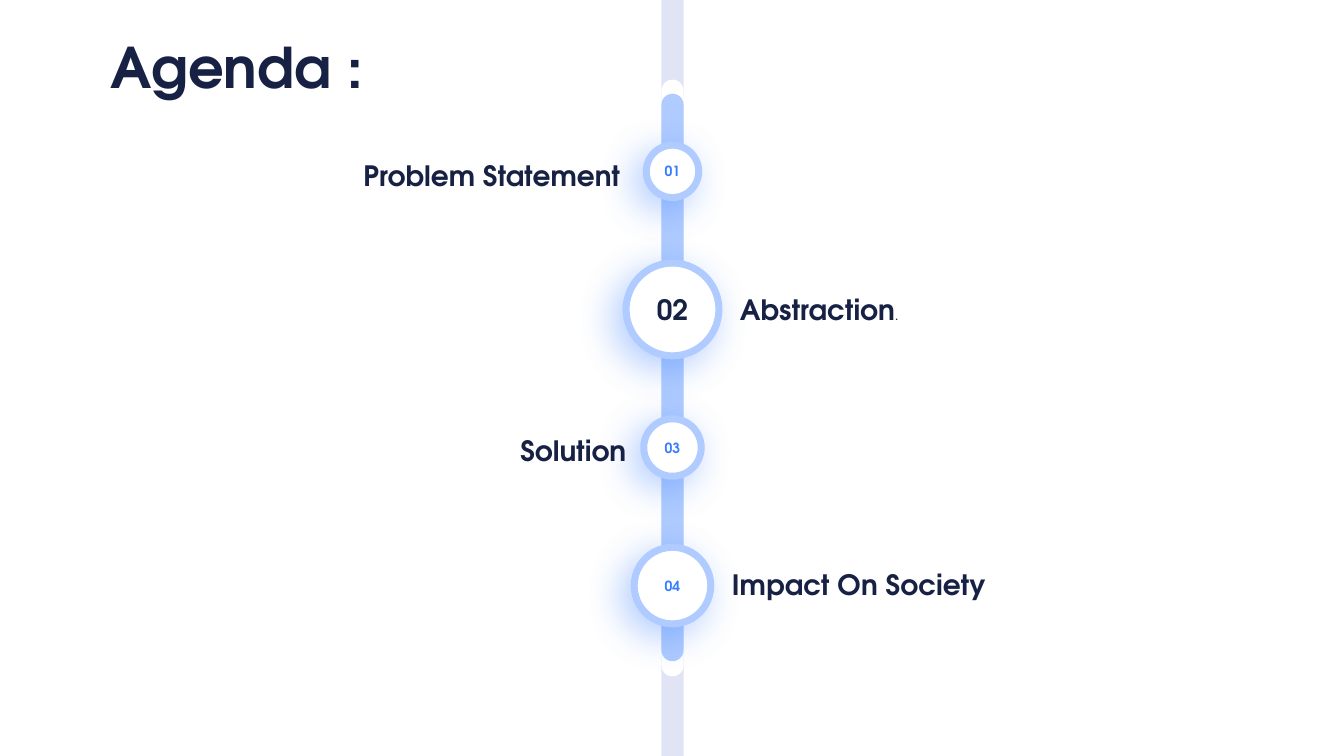
from lxml import etree
from pptx import Presentation
from pptx.dml.color import RGBColor
from pptx.enum.shapes import MSO_SHAPE
from pptx.enum.text import MSO_ANCHOR, MSO_AUTO_SIZE, PP_ALIGN
from pptx.oxml.ns import qn
from pptx.util import Inches, Pt

FONT = "TeX Gyre Adventor"
NAVY, BLUE, PALE_BLUE, GREY, WHITE = "172144", "377DFF", "AFCBFF", "E0E4F4", "FFFFFF"
CENTER_X, FIRST_Y, STEP_Y = 6.67, 1.7, 1.37
BAR_WIDTH, LABEL_HEIGHT = 0.22, 0.44

TITLE = "Agenda :"
BARS = [(-0.37, 8.25, GREY), (0.79, 5.92, WHITE), (0.93, 5.63, PALE_BLUE)]
STOPS = [
    {"number": "01", "diameter": 0.52, "size": 10, "color": BLUE,
     "label": "Problem Statement", "left": 3.16, "top": 1.52, "width": 3.09, "align": PP_ALIGN.RIGHT},
    {"number": "02", "diameter": 0.92, "size": 20, "color": NAVY,
     "label": "Abstraction", "left": 7.24, "top": 2.85, "width": 2.29, "align": PP_ALIGN.LEFT,
     "ending": "."},
    {"number": "03", "diameter": 0.57, "size": 10, "color": BLUE,
     "label": "Solution", "left": 4.02, "top": 4.25, "width": 2.29, "align": PP_ALIGN.RIGHT},
    {"number": "04", "diameter": 0.76, "size": 10, "color": BLUE,
     "label": "Impact On Society", "left": 7.16, "top": 5.58, "width": 2.73, "align": PP_ALIGN.LEFT},
]


def rgb(color):
    return RGBColor.from_string(color)


def style_font(font, size, color, name=FONT, bold=True):
    font.name, font.size, font.bold = name, Pt(size), bold
    font.color.rgb = rgb(color)


def write(text_frame, text, size, color, align):
    text_frame.word_wrap = True
    paragraph = text_frame.paragraphs[0]
    paragraph.text = text
    paragraph.alignment = align
    style_font(paragraph.font, size, color)
    return paragraph


def add_filled(preset, left, top, width, height, color):
    shape = slide.shapes.add_shape(preset, Inches(left), Inches(top), Inches(width), Inches(height))
    shape.shadow.inherit = False
    shape.fill.solid()
    shape.fill.fore_color.rgb = rgb(color)
    shape.line.fill.background()
    return shape


def add_glow_shadow(shape):
    effects = shape.element.spPr.find(qn("a:effectLst"))
    shadow = etree.SubElement(effects, qn("a:outerShdw"), blurRad=str(Pt(28)), dist=str(Pt(9)),
                              dir=str(135 * 60000), algn="tr", rotWithShape="0")
    color = etree.SubElement(shadow, qn("a:srgbClr"), val=BLUE)
    etree.SubElement(color, qn("a:alpha"), val="39000")


def add_circle(stop, center_y):
    diameter = stop["diameter"]
    circle = add_filled(MSO_SHAPE.OVAL, CENTER_X - diameter / 2, center_y - diameter / 2,
                        diameter, diameter, WHITE)
    circle.line.color.rgb = rgb(PALE_BLUE)
    circle.line.width = Pt(5)
    add_glow_shadow(circle)
    frame = circle.text_frame
    frame.margin_left = frame.margin_right = frame.margin_top = frame.margin_bottom = 0
    frame.vertical_anchor = MSO_ANCHOR.MIDDLE
    write(frame, stop["number"], stop["size"], stop["color"], PP_ALIGN.CENTER)


def add_label(stop):
    label = slide.shapes.add_textbox(Inches(stop["left"]), Inches(stop["top"]),
                                     Inches(stop["width"]), Inches(LABEL_HEIGHT))
    paragraph = write(label.text_frame, stop["label"], 20, NAVY, stop["align"])
    label.text_frame.auto_size = MSO_AUTO_SIZE.SHAPE_TO_FIT_TEXT
    if "ending" in stop:
        run = paragraph.add_run()
        run.text = stop["ending"]
        style_font(run.font, 9, NAVY, "Calibri", False)


presentation = Presentation()
presentation.slide_width, presentation.slide_height = Inches(13.33), Inches(7.5)
slide = presentation.slides.add_slide(presentation.slide_layouts[5])

title = slide.shapes.title
title.left, title.top, title.width, title.height = map(Inches, (1, 0.27, 6.67, 0.77))
title.text_frame.vertical_anchor = MSO_ANCHOR.TOP
title.text_frame.auto_size = MSO_AUTO_SIZE.SHAPE_TO_FIT_TEXT
write(title.text_frame, TITLE, 40, NAVY, PP_ALIGN.LEFT)

for top, height, color in BARS:
    bar = add_filled(MSO_SHAPE.ROUNDED_RECTANGLE, CENTER_X - BAR_WIDTH / 2, top,
                     BAR_WIDTH, height, color)
    bar.adjustments[0] = 0.5

for index, stop in enumerate(STOPS):
    add_circle(stop, FIRST_Y + index * STEP_Y)
    add_label(stop)

presentation.save("out.pptx")
